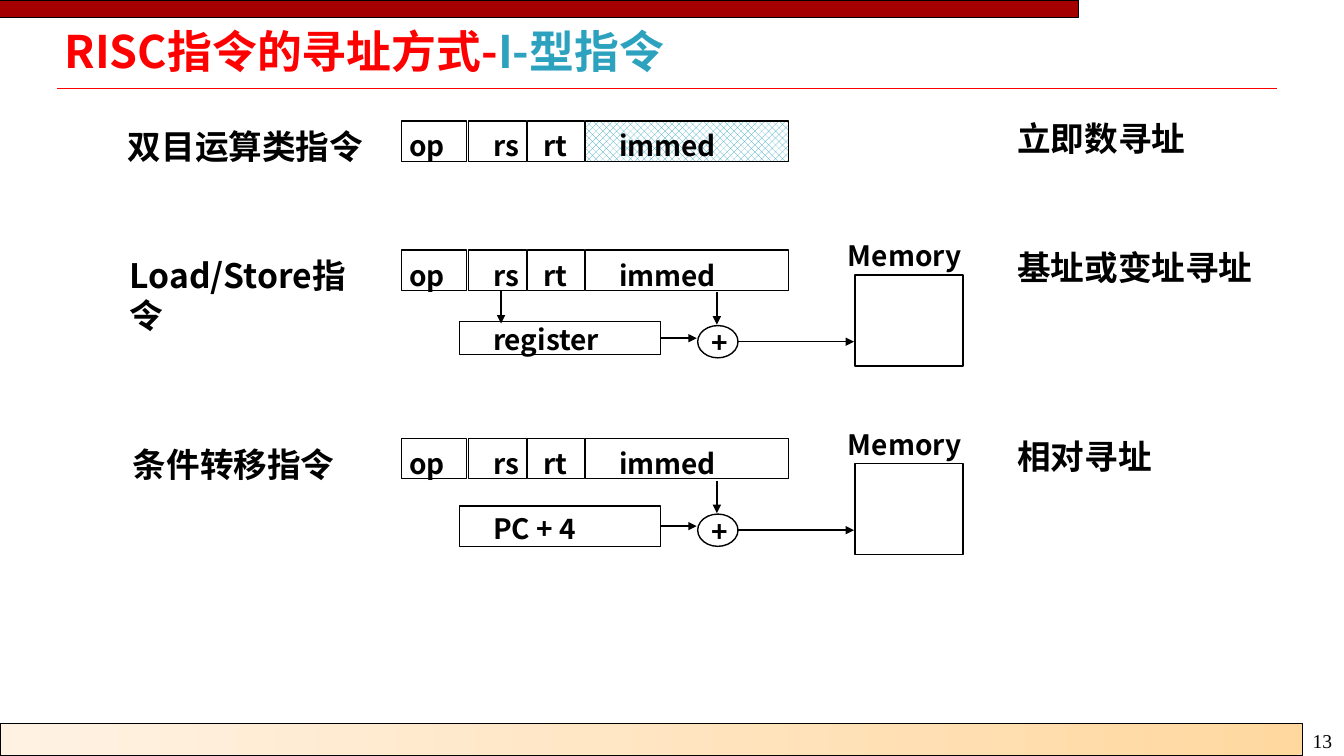
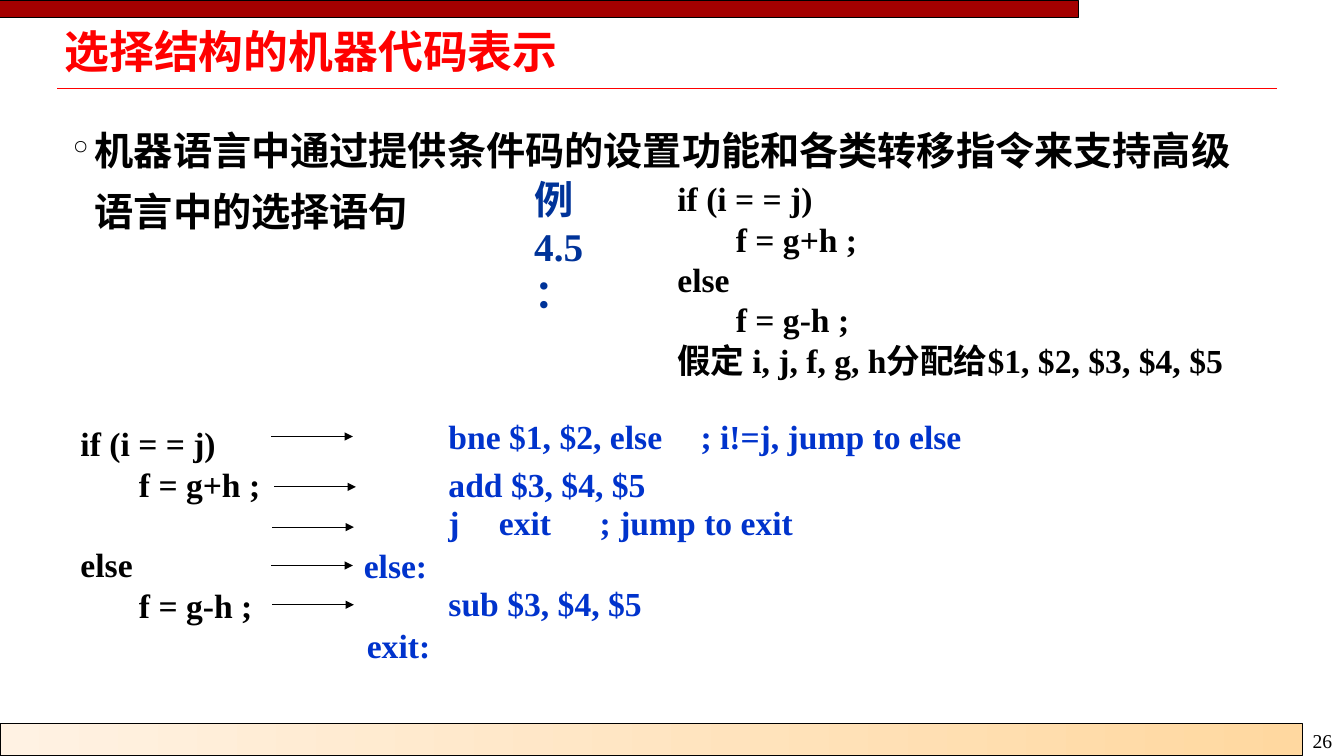
from pptx import Presentation
from pptx.dml.color import RGBColor
from pptx.enum.dml import MSO_PATTERN
from pptx.enum.shapes import MSO_CONNECTOR, MSO_SHAPE
from pptx.oxml.ns import qn
from pptx.util import Inches, Pt
from lxml.etree import SubElement

BLACK, RED, TEAL = "000000", "FF0000", "2DA2BF"
MAROON, CODE_BLUE, EXAMPLE_BLUE = "A40000", "0033CC", "003399"
SANS, SERIF = "Noto Sans CJK SC", "Times New Roman"
NATURAL_LEADING = 1.2
TIGHT = (0.07, 0.03)
LOOSE = (0.1, 0.05)


def rgb(value):
    return RGBColor.from_string(value)


def write_line(frame, runs, first=True, size=24, font=SANS, color=BLACK, bold=True,
               leading=1, indent=0, hanging=0, bullet=None, tabs=(), before=0):
    line = frame.paragraphs[0] if first else frame.add_paragraph()
    line.line_spacing = Pt(round(size * NATURAL_LEADING * leading, 1))
    line.space_before = Pt(before)
    props = line._p.get_or_add_pPr()
    props.set("marL", str(Inches(indent)))
    props.set("indent", str(-Inches(hanging)))
    if bullet:
        SubElement(props, qn("a:buChar"), char=bullet)
    if tabs:
        stops = SubElement(props, qn("a:tabLst"))
        for stop in tabs:
            SubElement(stops, qn("a:tab"), pos=str(Inches(stop)), algn="l")
    for words, run_color in [(runs, color)] if isinstance(runs, str) else runs:
        run = line.add_run()
        run.text = words
        run.font.size, run.font.bold, run.font.name = Pt(size), bold, font
        run.font.color.rgb = rgb(run_color)
        SubElement(run._r.get_or_add_rPr(), qn("a:ea"), typeface=SANS)


class Deck:
    def __init__(self):
        self.prs = Presentation()
        self.prs.slide_width, self.prs.slide_height = Inches(13.33), Inches(7.5)
        self.slide = None

    def new_slide(self, title, number):
        self.slide = self.prs.slides.add_slide(self.prs.slide_layouts[6])
        self.line((0.57, 0.88), (12.67, 0.88), color=RED, head=False)
        footer = self.box(0, 7.18, 12.92, 0.32, weight=0.75)
        footer.fill.gradient()
        footer.fill.gradient_angle = 0
        for stop, color in zip(footer.fill.gradient_stops, ("FFF2E3", "FFD8A0")):
            stop.color.rgb = rgb(color)
        self.text(12.92, 7.18, 0.43, 0.34, number, size=14, font=SERIF, bold=False)
        self.box(0, 0.01, 10.7, 0.16, fill=MAROON, weight=0.75)
        self.text(0.57, 0.27, 12.02, 0.52, title, inset=TIGHT, size=32, color=RED, leading=0.87)

    def box(self, x, y, w, h, kind=MSO_SHAPE.RECTANGLE, fill=None, weight=1):
        shape = self.slide.shapes.add_shape(kind, Inches(x), Inches(y), Inches(w), Inches(h))
        shape.shadow.inherit = False
        shape.line.color.rgb, shape.line.width = rgb(BLACK), Pt(weight)
        if fill:
            shape.fill.solid()
            shape.fill.fore_color.rgb = rgb(fill)
        else:
            shape.fill.background()
        return shape

    def frame(self, x, y, w, h, inset=LOOSE):
        frame = self.slide.shapes.add_textbox(Inches(x), Inches(y), Inches(w), Inches(h)).text_frame
        frame.word_wrap = True
        frame.margin_left = frame.margin_right = Inches(inset[0])
        frame.margin_top = frame.margin_bottom = Inches(inset[1])
        return frame

    def text(self, x, y, w, h, words, inset=LOOSE, **style):
        write_line(self.frame(x, y, w, h, inset), words, **style)

    def label(self, x, y, w, words, size=20):
        self.text(x, y, w, size / 60, words, inset=TIGHT, size=size, leading=0.85)

    def code(self, x, y, w, h, lines):
        frame = self.frame(x, y, w, h)
        for index, (words, style) in enumerate(lines):
            write_line(frame, words, first=index == 0, font=SERIF, **style)

    def line(self, start, end, color=BLACK, weight=1, head=True, source=None):
        link = self.slide.shapes.add_connector(
            MSO_CONNECTOR.STRAIGHT, *(Inches(v) for v in (*start, *end)))
        if source is not None:
            link.begin_connect(source, 3)
        link.line.color.rgb, link.line.width = rgb(color), Pt(weight)
        if head:
            SubElement(link.line._get_or_add_ln(), qn("a:tailEnd"), type="triangle")
        SubElement(link._element.spPr, qn("a:effectLst"))

    def instruction(self, y, name, name_x, name_w, mode):
        for field, x, w, text_x in (("op", 3.98, 0.65, 3.99), ("rs", 4.65, 0.57, 4.82),
                                    ("rt", 5.23, 0.57, 5.32), ("immed", 5.81, 2.01, 6.07)):
            cell = self.box(x, y, w, 0.4)
            self.label(text_x, y + 0.1, w + 0.1, field)
        self.text(name_x, y, name_w, 0.5, name)
        self.label(10.02, y, 2.7, mode, size=24)
        return cell

    def address_sum(self, y, base, base_dy, base_h):
        base_y = y + base_dy
        middle = base_y + base_h / 2
        base_box = self.box(4.56, base_y, 1.99, base_h)
        self.label(4.82, y + 0.74, 1.5, base)
        self.box(6.92, y + 0.75, 0.4, 0.32, kind=MSO_SHAPE.OVAL)
        self.label(6.99, y + 0.77, 0.4, "+")
        self.line((6.55, middle), (6.91, middle), source=base_box)
        self.line((7.11, y + 0.42), (7.11, y + 0.74))
        self.line((7.31, y + 0.91), (8.47, y + 0.91))
        self.box(8.48, y + 0.25, 1.07, 0.9)
        self.label(8.34, y - 0.09, 1.5, "Memory")


def addressing_slide(deck):
    deck.new_slide([("RISC指令的寻址方式-", RED), ("I-型指令", TEAL)], "13")
    immediate = deck.instruction(1.2, "双目运算类指令", 1.17, 2.7, "立即数寻址")
    immediate.fill.patterned()
    immediate.fill.pattern = MSO_PATTERN.PERCENT_50
    immediate.fill.fore_color.rgb, immediate.fill.back_color.rgb = rgb(TEAL), rgb("FFFFFF")
    deck.instruction(2.48, "Load/Store指令", 1.19, 2.5, "基址或变址寻址")
    deck.address_sum(2.48, "register", 0.71, 0.33)
    deck.line((4.97, 2.89), (4.97, 3.21))
    deck.instruction(4.35, "条件转移指令", 1.22, 2.5, "相对寻址")
    deck.address_sum(4.35, "PC + 4", 0.67, 0.4)


def selection_slide(deck):
    deck.new_slide("选择结构的机器代码表示", "26")
    deck.text(0.65, 1.08, 11.94, 1.28,
              "机器语言中通过提供条件码的设置功能和各类转移指令来支持高级语言中的选择语句",
              inset=TIGHT, size=28, leading=1.3, indent=0.22, hanging=0.22, bullet="°")
    nested = {"indent": 0.58}
    then_part = [("if (i = = j)", {}), ("f = g+h ;", nested)]
    else_step = ("f = g-h ;", nested)
    deck.code(6.62, 1.72, 5.68, 2.12, then_part + [
        ("else", {}), else_step, ("假定 i, j, f, g, h分配给$1, $2, $3, $4, $5", {})])
    deck.code(0.7, 4.15, 2.2, 2.12, then_part + [("else", {"before": 28.8}), else_step])
    for x, y, words, tabs in ((4.35, 4.08, "bne $1, $2, else\t; i!=j, jump to else", (2.37,)),
                              (4.35, 4.55, "add $3, $4, $5", ()),
                              (4.35, 4.93, "j\texit\t; jump to exit", (0.36, 2.42)),
                              (3.51, 5.36, "else:", ()),
                              (4.35, 5.73, "sub $3, $4, $5", ()),
                              (3.54, 6.15, "exit:", ())):
        deck.text(x, y, 6 if tabs else 2.3, 0.5, words, font=SERIF, color=CODE_BLUE, tabs=tabs)
    for x, y in ((2.69, 4.33), (2.72, 4.83), (2.7, 5.23), (2.69, 5.61), (2.7, 6)):
        deck.line((x, y), (x + 0.81, y), weight=0.75)
    deck.text(5.2, 1.69, 1.05, 0.57, "例4.5：", size=28, font=SERIF, color=EXAMPLE_BLUE)


def main():
    deck = Deck()
    addressing_slide(deck)
    selection_slide(deck)
    deck.prs.save("out.pptx")


if __name__ == "__main__":
    main()
